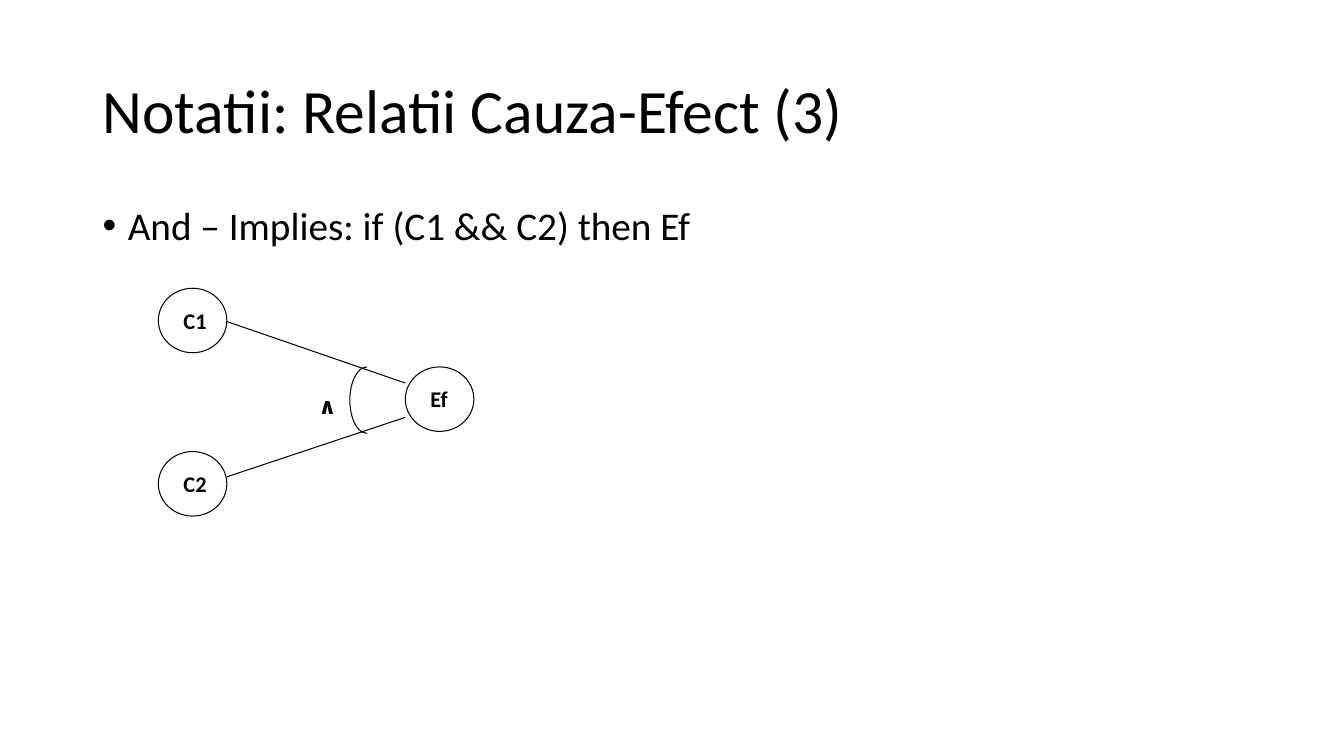
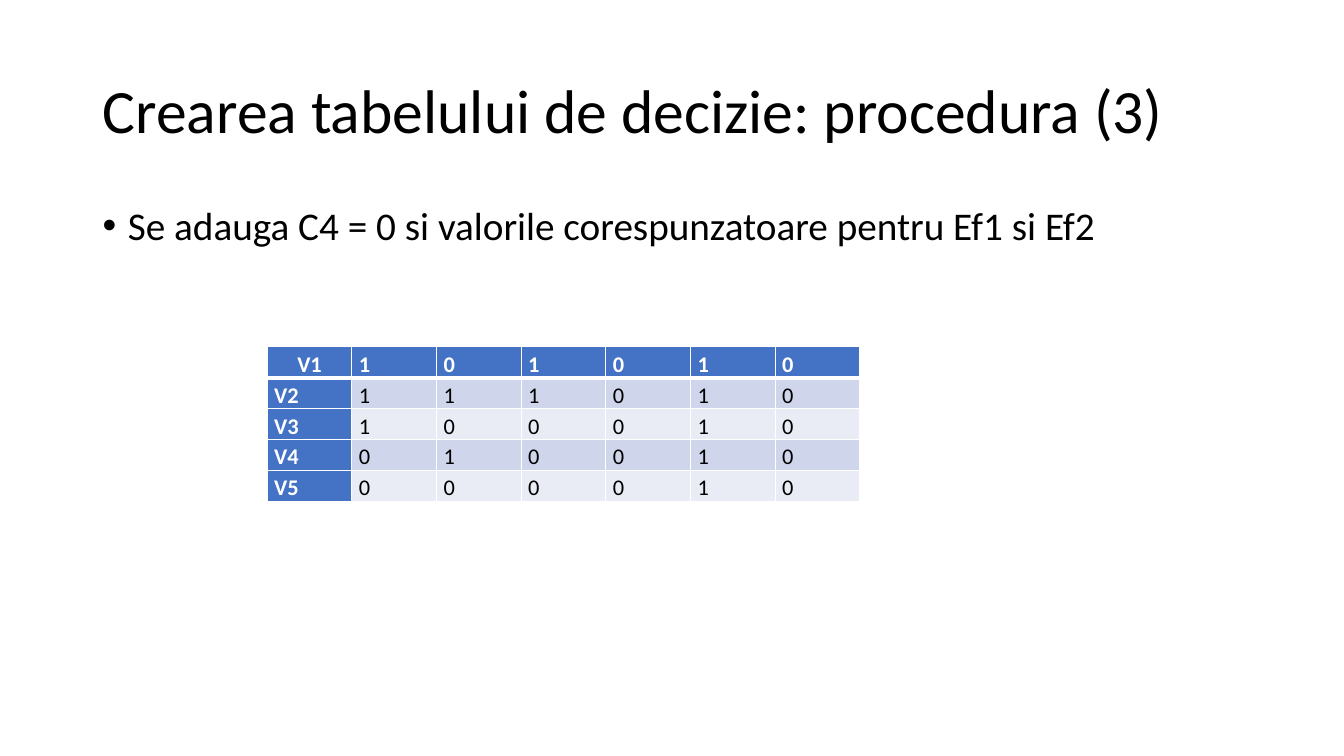
from lxml import etree
from pptx import Presentation
from pptx import util as u
from pptx.dml.color import RGBColor
from pptx.enum import shapes, text
from pptx.oxml import ns

BLACK = RGBColor(0x00, 0x00, 0x00)
WHITE = RGBColor(0xFF, 0xFF, 0xFF)
BLUE = RGBColor(0x44, 0x72, 0xC4)
BAND_DARK = RGBColor(0xCF, 0xD5, 0xEA)
BAND_LIGHT = RGBColor(0xE9, 0xEB, 0xF5)
FONT = "Calibri"
LINE_WIDTH = u.Pt(0.75)
TITLE_BOX = (0.92, 0.4, 11.5, 1.45)
BODY_BOX = (0.92, 2, 11.5, 4.76)
NODE_W, NODE_H = 0.68, 0.64
DECISIONS = [
    ("V1", "101010"),
    ("V2", "111010"),
    ("V3", "100010"),
    ("V4", "010010"),
    ("V5", "000010"),
]


def inches(*values):
    """Turn numbers into lengths in inches."""
    return [u.Inches(v) for v in values]


def write(p, words, size, color=BLACK, bold=False, spacing=1.15):
    """Fill a paragraph with formatted words."""
    p.text = words
    p.line_spacing = spacing
    for r in p.runs:
        r.font.name = FONT
        r.font.size = u.Pt(size)
        r.font.bold = bold
        r.font.color.rgb = color


def add_text(slide, box, words, size, anchor):
    """Add a wrapping text box and return its paragraph."""
    tf = slide.shapes.add_textbox(*inches(*box)).text_frame
    tf.word_wrap = True
    tf.vertical_anchor = anchor
    p = tf.paragraphs[0]
    write(p, words, size, spacing=0.9)
    return p


def add_slide(prs, title, bullet):
    """Add a blank slide with a title and one bulleted line."""
    slide = prs.slides.add_slide(prs.slide_layouts[6])
    add_text(slide, TITLE_BOX, title, 44, text.MSO_ANCHOR.MIDDLE)
    p = add_text(slide, BODY_BOX, bullet, 28, text.MSO_ANCHOR.TOP)
    pPr = p._p.get_or_add_pPr()
    pPr.set("marL", str(u.Inches(0.25)))
    pPr.set("indent", str(u.Inches(-0.25)))
    etree.SubElement(pPr, ns.qn("a:buFont")).set("typeface", "Arial")
    etree.SubElement(pPr, ns.qn("a:buChar")).set("char", "•")
    return slide


def add_label(slide, kind, box, words, line, left=0.1):
    """Add a white shape with a bold label at its top left."""
    sp = slide.shapes.add_shape(kind, *inches(*box))
    sp.shadow.inherit = False
    sp.fill.solid()
    sp.fill.fore_color.rgb = WHITE
    sp.line.color.rgb = line
    sp.line.width = LINE_WIDTH
    tf = sp.text_frame
    tf.word_wrap = True
    tf.vertical_anchor = text.MSO_ANCHOR.TOP
    tf.margin_left, tf.margin_right = inches(left, 0)
    p = tf.paragraphs[0]
    p.alignment = text.PP_ALIGN.LEFT
    write(p, words, 16, bold=True)


def add_line(slide, *ends):
    """Add a thin black straight line."""
    line = slide.shapes.add_connector(shapes.MSO_CONNECTOR.STRAIGHT, *inches(*ends))
    line.line.color.rgb = BLACK
    line.line.width = LINE_WIDTH
    etree.SubElement(line._element.spPr, ns.qn("a:effectLst"))


def add_cause_graph(slide, x, y):
    """Draw two causes joined by AND to one effect."""
    add_label(slide, shapes.MSO_SHAPE.RECTANGLE,
              (x + 1.49, y + 0.94, 0.6, 0.48), "∧", WHITE)
    for words, dx, dy in [("C1", 0, 0), ("Ef", 2.45, 0.78), ("C2", 0, 1.62)]:
        add_label(slide, shapes.MSO_SHAPE.OVAL,
                  (x + dx, y + dy, NODE_W, NODE_H), words, BLACK, 0.15)
    for start, end in [(0.33, 0.94), (1.87, 1.28)]:
        add_line(slide, x + NODE_W, y + start, x + 2.45, y + end)
    arc = slide.shapes.add_shape(shapes.MSO_SHAPE.ARC,
                                 *inches(x + 1.9, y + 0.78, 0.34, 0.66))
    arc.adjustments[0], arc.adjustments[1] = 54, 162
    arc.shadow.inherit = False
    arc.fill.background()
    arc.line.color.rgb = BLACK
    arc.line.width = LINE_WIDTH


def set_borders(cell, bottom):
    """Give a cell white borders with the stated bottom width."""
    tcPr = cell._tc.get_or_add_tcPr()
    for side, width in [("L", 1), ("R", 1), ("T", 1), ("B", bottom)]:
        ln = etree.SubElement(tcPr, ns.qn(f"a:ln{side}"), w=str(u.Pt(width)))
        fill = etree.SubElement(ln, ns.qn("a:solidFill"))
        etree.SubElement(fill, ns.qn("a:srgbClr"), val=str(WHITE))


def add_decision_table(slide, x, y, col_w, row_h):
    """Add the decision table with blue headings and banded rows."""
    rows, cols = len(DECISIONS), len(DECISIONS[0][1]) + 1
    box = inches(x, y, col_w * cols, row_h * rows)
    table = slide.shapes.add_table(rows, cols, *box).table
    table.first_col = True
    for col in table.columns:
        col.width = u.Inches(col_w)
    for i, (name, values) in enumerate(DECISIONS):
        table.rows[i].height = u.Inches(row_h)
        for j, words in enumerate([name, *values]):
            cell = table.cell(i, j)
            heading = i == 0 or j == 0
            set_borders(cell, 3 if i == 0 else 1)
            cell.fill.solid()
            band = BAND_DARK if i % 2 else BAND_LIGHT
            cell.fill.fore_color.rgb = BLUE if heading else band
            cell.margin_left = cell.margin_right = u.Inches(0.07)
            cell.margin_top = cell.margin_bottom = 0
            p = cell.text_frame.paragraphs[0]
            write(p, words, 16, WHITE if heading else BLACK, heading)
    table.cell(0, 0).text_frame.paragraphs[0].alignment = text.PP_ALIGN.CENTER


def main():
    """Build and save the presentation."""
    prs = Presentation()
    prs.slide_width, prs.slide_height = inches(13.33, 7.5)
    slide = add_slide(prs, "Notatii: Relatii Cauza-Efect (3)",
                      "And – Implies: if (C1 && C2) then Ef")
    add_cause_graph(slide, 1.57, 2.86)
    slide = add_slide(prs, "Crearea tabelului de decizie: procedura (3)",
                      "Se adauga C4 = 0 si valorile corespunzatoare pentru Ef1 si Ef2")
    add_decision_table(slide, 2.65, 3.44, 0.84, 0.29)
    prs.save("out.pptx")


if __name__ == "__main__":
    main()
